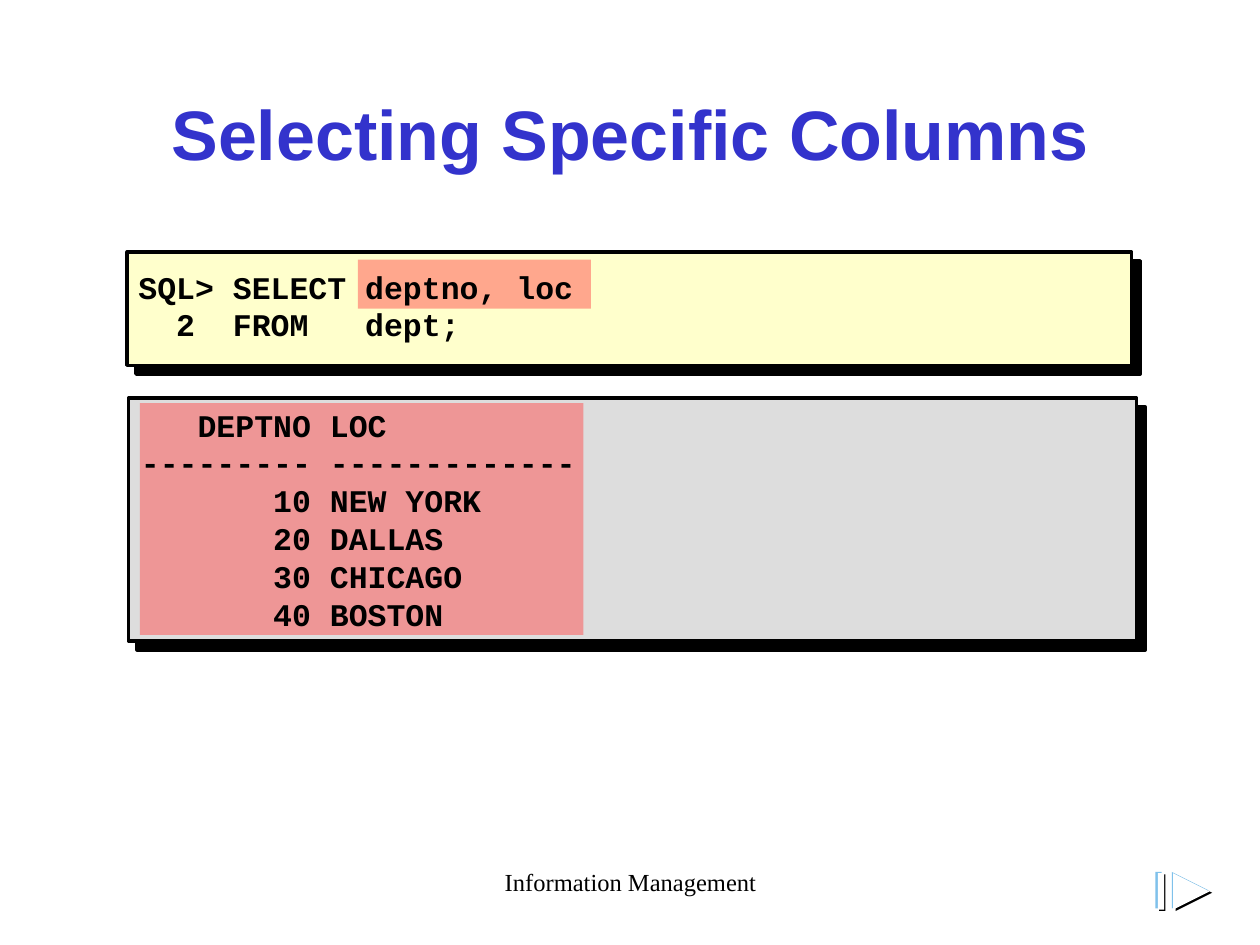
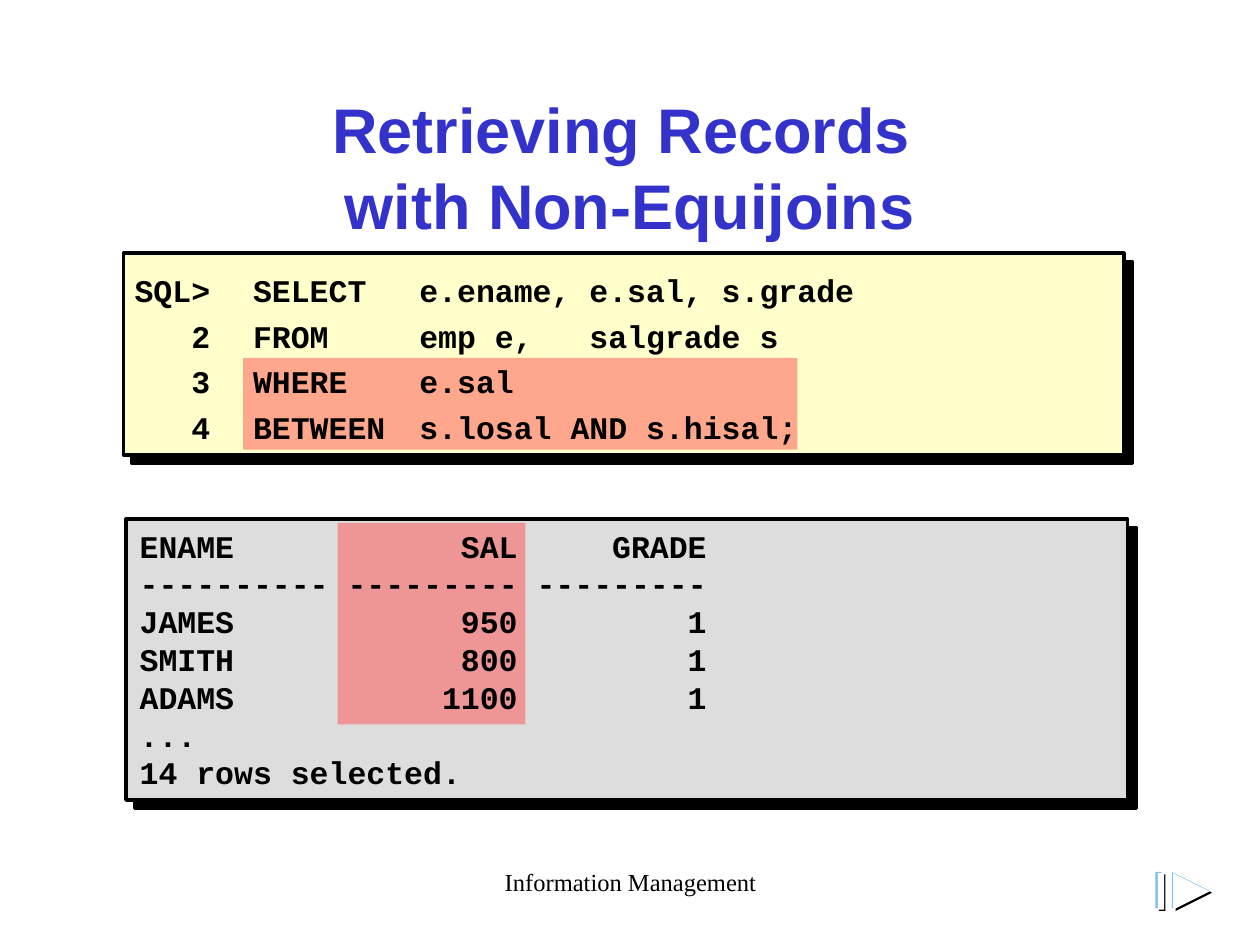
"""Build two slides on SQL column selection and non-equijoins."""
from copy import deepcopy
from dataclasses import dataclass, field

from lxml import etree
from pptx import Presentation
from pptx.dml.color import RGBColor
from pptx.enum.shapes import MSO_SHAPE
from pptx.enum.text import MSO_ANCHOR, MSO_AUTO_SIZE, PP_ALIGN
from pptx.oxml.ns import qn
from pptx.util import Inches, Pt

BLACK = RGBColor(0x00, 0x00, 0x00)
WHITE = RGBColor(0xFF, 0xFF, 0xFF)
TITLE_BLUE = RGBColor(0x33, 0x33, 0xCC)
CODE_YELLOW = RGBColor(0xFF, 0xFF, 0xCC)
RESULT_GREY = RGBColor(0xDD, 0xDD, 0xDD)
HIGHLIGHT_RED = RGBColor(0xFF, 0x50, 0x50)
ICON_BLUE = RGBColor(0x7F, 0xC1, 0xEB)

RECTANGLE = MSO_SHAPE.RECTANGLE
TOP, MIDDLE = MSO_ANCHOR.TOP, MSO_ANCHOR.MIDDLE
LEFT, CENTER = PP_ALIGN.LEFT, PP_ALIGN.CENTER
NO_AUTOFIT = MSO_AUTO_SIZE.NONE

TITLE_FONT, CODE_FONT, FOOTER_FONT = "Arial", "Courier New", "Times New Roman"
TITLE_ONLY = 5
LINE_PITCH = 1.2
SHADOW_DISTANCE = Pt(7.1)
SHADOW_DIRECTION = 45 * 60000
ICON_HEIGHT = 0.29


@dataclass(frozen=True)
class Box:
    """A rectangle in inches."""
    left: float
    top: float
    width: float
    height: float

    def lengths(self) -> list:
        """Return left, top, width and height as lengths."""
        return [Inches(value) for value in (self.left, self.top, self.width, self.height)]


@dataclass(frozen=True)
class Panel:
    """A shadowed panel with preformatted text over a highlight."""
    box: Box
    fill: RGBColor
    highlight: Box
    text_box: Box
    lines: list[str]
    tabs: list[tuple[float, str]] = field(default_factory=list)
    anchor: MSO_ANCHOR = TOP
    spacing: float = 1


@dataclass(frozen=True)
class Page:
    """The content of one slide."""
    title: str
    title_size: int
    panels: list[Panel]


@dataclass(frozen=True)
class IconLayer:
    """One colour layer of the forward icon."""
    color: RGBColor
    bar_left: float
    triangle_left: float
    top: float


FOOTER_BOX = Box(3.42, 6.83, 3.17, 0.5)
TITLE_BOX = Box(0.75, 0.67, 8.5, 1.25)
ICON_LAYERS = [
    IconLayer(BLACK, 9.2, 9.33, 6.94),
    IconLayer(ICON_BLUE, 9.17, 9.3, 6.92),
    IconLayer(WHITE, 9.19, 9.31, 6.93),
]

PAGES = [
    Page("Selecting Specific Columns", 40, [
        Panel(
            Box(1.02, 3.16, 8, 1.93), RESULT_GREY,
            Box(1.11, 3.2, 3.52, 1.84), Box(1.02, 3.17, 7.97, 1.9),
            ["\tDEPTNO\tLOC", "--------- -------------", "\t10\tNEW YORK",
             "\t20\tDALLAS", "\t30\tCHICAGO", "\t40\tBOSTON"],
            tabs=[(1.35, "r"), (1.5, "l")],
        ),
        Panel(
            Box(1.01, 2, 7.97, 0.9), CODE_YELLOW,
            Box(2.84, 2.06, 1.85, 0.39), Box(1, 1.96, 8, 0.93),
            ["SQL>\tSELECT\tdeptno, loc", "\t2\tFROM\tdept;"],
            tabs=[(0.45, "r"), (0.75, "l"), (1.8, "l")], anchor=MIDDLE,
        ),
    ]),
    Page("Retrieving Records \vwith Non-Equijoins", 36, [
        Panel(
            Box(0.98, 2.01, 7.94, 1.6), CODE_YELLOW,
            Box(1.93, 2.84, 4.4, 0.73), Box(0.97, 2, 7.97, 1.63),
            ["\tSQL>\tSELECT\te.ename, e.sal, s.grade",
             "\t2\tFROM\temp e,\tsalgrade s", "\t3\tWHERE\te.sal",
             "\t4\tBETWEEN\ts.losal AND s.hisal;"],
            tabs=[(0.6, "r"), (0.94, "l"), (2.26, "l"), (3.61, "l")],
            anchor=MIDDLE, spacing=1.2,
        ),
        Panel(
            Box(1, 4.12, 7.95, 2.23), RESULT_GREY,
            Box(2.68, 4.15, 1.49, 1.6), Box(1.01, 4.13, 7.92, 2.2),
            ["ENAME\tSAL\tGRADE", "---------- --------- ---------",
             "JAMES\t950\t1", "SMITH\t800\t1", "ADAMS\t1100\t1",
             "...", "14 rows selected."],
            tabs=[(3, "r"), (4.5, "r")],
        ),
    ]),
]


def add_shadow(parent: etree.Element) -> etree.Element:
    """Append a hard black shadow to the element and return its effect list."""
    effects = etree.SubElement(parent, qn("a:effectLst"))
    shadow = etree.SubElement(
        effects, qn("a:outerShdw"), dist=str(int(SHADOW_DISTANCE)),
        dir=str(SHADOW_DIRECTION), algn="ctr", rotWithShape="0")
    etree.SubElement(shadow, qn("a:srgbClr"), val=str(BLACK))
    return effects


def set_tabs(paragraph, tabs: list[tuple[float, str]]) -> None:
    """Give the paragraph its tab stops."""
    tab_list = etree.SubElement(paragraph._p.get_or_add_pPr(), qn("a:tabLst"))
    for position, alignment in tabs:
        etree.SubElement(tab_list, qn("a:tab"), pos=str(int(Inches(position))), algn=alignment)


def write_text(shape, lines: list[str], *, font: str, size: int, color: RGBColor = BLACK,
               bold: bool = False, align: PP_ALIGN = LEFT, anchor: MSO_ANCHOR = TOP,
               spacing: float = 1, tabs: list[tuple[float, str]] | None = None,
               shadow: bool = False) -> None:
    """Write one paragraph per line into the shape."""
    frame = shape.text_frame
    frame.word_wrap = True
    frame.auto_size = NO_AUTOFIT
    frame.vertical_anchor = anchor
    for index, line in enumerate(lines):
        paragraph = frame.add_paragraph() if index else frame.paragraphs[0]
        paragraph.text = line
        paragraph.alignment = align
        paragraph.line_spacing = Pt(round(size * LINE_PITCH * spacing, 1))
        if tabs:
            set_tabs(paragraph, tabs)
        for run in paragraph.runs:
            run.font.size = Pt(size)
            run.font.bold = bold
            run.font.color.rgb = color
            if shadow:
                properties = run._r.get_or_add_rPr()
                properties.find(qn("a:solidFill")).addnext(add_shadow(properties))
            run.font.name = font
        for line_break in paragraph._p.findall(qn("a:br")):
            line_break.append(deepcopy(paragraph.runs[0]._r.get_or_add_rPr()))


def add_rectangle(shapes, box: Box, fill: RGBColor):
    """Add a plain filled rectangle."""
    shape = shapes.add_shape(RECTANGLE, *box.lengths())
    paint(shape, fill)
    return shape


def paint(shape, fill: RGBColor) -> None:
    """Fill the shape and remove its line and shadow."""
    shape.shadow.inherit = False
    shape.fill.solid()
    shape.fill.fore_color.rgb = fill
    shape.line.fill.background()


def add_panel(slide, panel: Panel) -> None:
    """Draw the panel, its highlight and its text."""
    frame = add_rectangle(slide.shapes, panel.box, panel.fill)
    frame.line.color.rgb = BLACK
    frame.line.width = Pt(2)
    properties = frame._element.spPr
    properties.remove(properties.find(qn("a:effectLst")))
    add_shadow(properties)
    highlight = add_rectangle(slide.shapes, panel.highlight, HIGHLIGHT_RED)
    color = highlight._element.spPr.find(qn("a:solidFill")).find(qn("a:srgbClr"))
    etree.SubElement(color, qn("a:alpha"), val="50000")
    write_text(slide.shapes.add_textbox(*panel.text_box.lengths()), panel.lines,
               font=CODE_FONT, size=18, bold=True, anchor=panel.anchor,
               spacing=panel.spacing, tabs=panel.tabs)


def add_forward_icon(slide) -> None:
    """Draw the layered bar and triangle at the bottom right."""
    shapes = slide.shapes.add_group_shape().shapes
    for layer in ICON_LAYERS:
        add_rectangle(shapes, Box(layer.bar_left, layer.top, 0.05, ICON_HEIGHT), layer.color)
    for layer in ICON_LAYERS:
        left, top = Inches(layer.triangle_left), Inches(layer.top)
        height = Inches(ICON_HEIGHT)
        builder = shapes.build_freeform(left + height, top + height // 2)
        builder.add_line_segments([(left, top), (left, top + height)], close=True)
        paint(builder.convert_to_shape(), layer.color)


def add_page(presentation, page: Page) -> None:
    """Add one slide with title, footer, panels and icon."""
    slide = presentation.slides.add_slide(presentation.slide_layouts[TITLE_ONLY])
    title = slide.shapes.title
    title.left, title.top, title.width, title.height = TITLE_BOX.lengths()
    write_text(title, [page.title], font=TITLE_FONT, size=page.title_size,
               color=TITLE_BLUE, bold=True, align=CENTER, shadow=True)
    write_text(slide.shapes.add_textbox(*FOOTER_BOX.lengths()), ["Information Management"],
               font=FOOTER_FONT, size=14, align=CENTER)
    for panel in page.panels:
        add_panel(slide, panel)
    add_forward_icon(slide)


def main() -> None:
    """Build and save the presentation."""
    presentation = Presentation()
    presentation.slide_width = Inches(10)
    presentation.slide_height = Inches(7.5)
    for page in PAGES:
        add_page(presentation, page)
    presentation.save("out.pptx")


if __name__ == "__main__":
    main()
